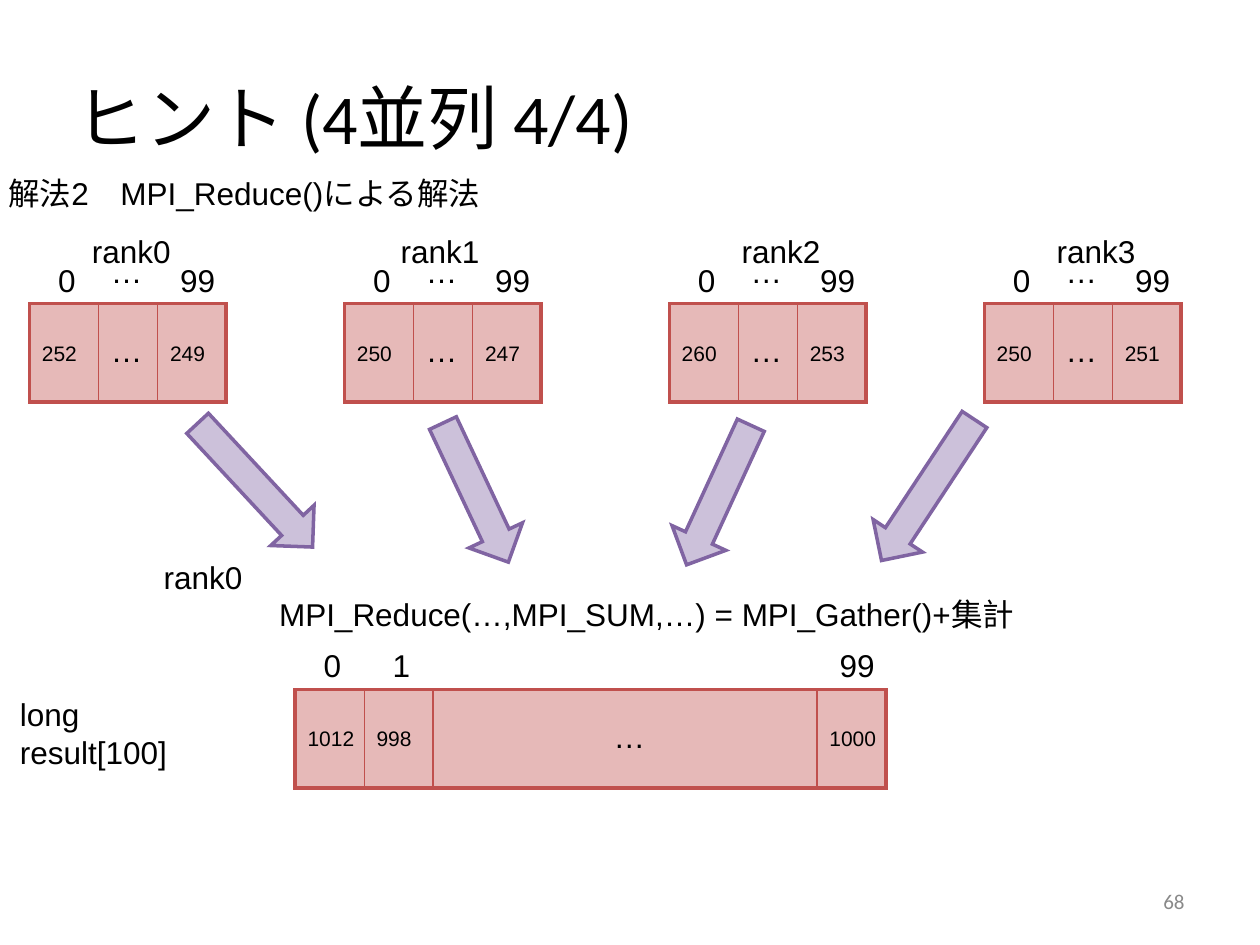
from lxml import etree
from pptx import Presentation
from pptx.dml.color import RGBColor
from pptx.enum.shapes import MSO_CONNECTOR, MSO_SHAPE
from pptx.enum.text import MSO_ANCHOR, MSO_AUTO_SIZE, PP_ALIGN
from pptx.oxml.ns import qn
from pptx.util import Pt

LINE = MSO_CONNECTOR.STRAIGHT
RECT, ARROW = MSO_SHAPE.RECTANGLE, MSO_SHAPE.DOWN_ARROW
LEFT, RIGHT = PP_ALIGN.LEFT, PP_ALIGN.RIGHT
MIDDLE = MSO_ANCHOR.MIDDLE
FIT, FIXED = MSO_AUTO_SIZE.SHAPE_TO_FIT_TEXT, MSO_AUTO_SIZE.NONE

COLORS = {"text": "000000", "page": "898989", "bar": "E6B9B8",
          "edge": "C0504D", "arrow": "CCC1DA", "rim": "8064A2"}
DOTS = "…"
BAR_H = 56.2
BAR_TOP = 173.5
CELL = 39.4


def color(name):
    return RGBColor.from_string(COLORS[name])


def style(frame, size, font="Arial", tone="text", align=LEFT):
    for para in frame.paragraphs:
        para.alignment = align
        for run in para.runs:
            run.font.size = Pt(size)
            run.font.name = font
            run.font.color.rgb = color(tone)


def add_text(slide, text, x, y, w, h=28.8, size=18, wrap=False):
    box = slide.shapes.add_textbox(Pt(x), Pt(y), Pt(w), Pt(h))
    frame = box.text_frame
    frame.word_wrap = wrap
    frame.auto_size = FIT
    frame.text = text
    style(frame, size)
    return frame


def add_shape(slide, kind, x, y, w, h, fill, line):
    shape = slide.shapes.add_shape(kind, Pt(x), Pt(y), Pt(w), Pt(h))
    shape.shadow.inherit = False
    shape.fill.solid()
    shape.fill.fore_color.rgb = color(fill)
    shape.line.color.rgb = color(line)
    shape.line.width = Pt(2)
    # Sharp corners
    edge = shape._element.spPr.find(qn("a:ln"))
    etree.SubElement(edge, qn("a:miter"), lim="800000")
    return shape


def add_rule(slide, x, y):
    rule = slide.shapes.add_connector(LINE, Pt(x), Pt(y), Pt(x), Pt(y + BAR_H))
    rule.line.color.rgb = color("edge")
    rule.line.width = Pt(0.75)
    etree.SubElement(rule._element.spPr, qn("a:effectLst"))


def add_bar(slide, x, y, w, cells, dots):
    """Draw an array; cells are (offset, index, value), dots are (x, y) offsets."""
    add_shape(slide, RECT, x, y, w, BAR_H, "bar", "edge")
    for off, index, value in cells:
        left = x + off
        if off:
            add_rule(slide, left, y)
        if value:
            add_text(slide, value, left, y + 17.3, 45, 21.6, 12, True)
            wide = len(index) > 1
            add_text(slide, index, left + (5.8 if wide else 9.2), y - 28.1,
                     34.6 if wide else 24.5)
    for dx, dy in dots:
        add_text(slide, DOTS, x + dx, y + dy, 32.4)


def add_arrow(slide, x, y, h, turn):
    arrow = add_shape(slide, ARROW, x, y, 33.8, h, "arrow", "rim")
    arrow.rotation = turn


def add_title(slide, text):
    title = slide.shapes.title
    title.left, title.top = Pt(36), Pt(21.6)
    title.width, title.height = Pt(648), Pt(90)
    title.text_frame.text = text
    title.text_frame.vertical_anchor = MIDDLE
    style(title.text_frame, 40, "Calibri")


def main():
    deck = Presentation()
    deck.slide_width, deck.slide_height = Pt(720), Pt(540)
    slide = deck.slides.add_slide(deck.slide_layouts[5])

    # Heading and page number
    add_title(slide, "ヒント (4並列 4/4)")
    page = add_text(slide, "68", 516.2, 500.4, 167.8, size=12, wrap=True)
    page.auto_size = FIXED
    page.vertical_anchor = MIDDLE
    style(page, 12, "Calibri", "page", RIGHT)
    add_text(slide, "解法2\u3000MPI_Reduce()による解法", -2.2, 95.8, 304)

    # Local array of each rank
    ranks = [(16.9, 45.4, "252", "249"), (196.9, 221.8, "250", "247"),
             (382.5, 416.7, "260", "253"), (562.5, 596.7, "250", "251")]
    for i, (x, name_x, first, last) in enumerate(ranks):
        cells = [(0, "0", first), (CELL, "", ""), (73.2, "99", last)]
        add_bar(slide, x, BAR_TOP, 112.3, cells, [(CELL, -33.1), (CELL, 12.2)])
        add_text(slide, f"rank{i}", name_x, 129.2, 62)

    # Arrows to the root
    for arrow in [(128.9, 229, 96.5, 317.1), (254.9, 237.6, 87.8, 334.8),
                  (393.8, 239, 87.8, 24.7), (513.4, 231.8, 96.5, 33.4)]:
        add_arrow(slide, *arrow)

    # Reduced result on rank0
    add_text(slide, "rank0", 86.4, 315.4, 62)
    add_text(slide, "MPI_Reduce(…,MPI_SUM,…) = MPI_Gather()+集計",
             152.4, 336.4, 445)
    add_text(slide, "long\nresult[100]", 4.3, 393.8, 102, 50.4)
    cells = [(0, "0", "1012"), (CELL, "1", "998"), (2 * CELL, "", ""),
             (298.2, "99", "1000")]
    add_bar(slide, 168.7, 394, 337.7, cells, [(174.8, 12.2)])

    deck.save("out.pptx")


if __name__ == "__main__":
    main()
